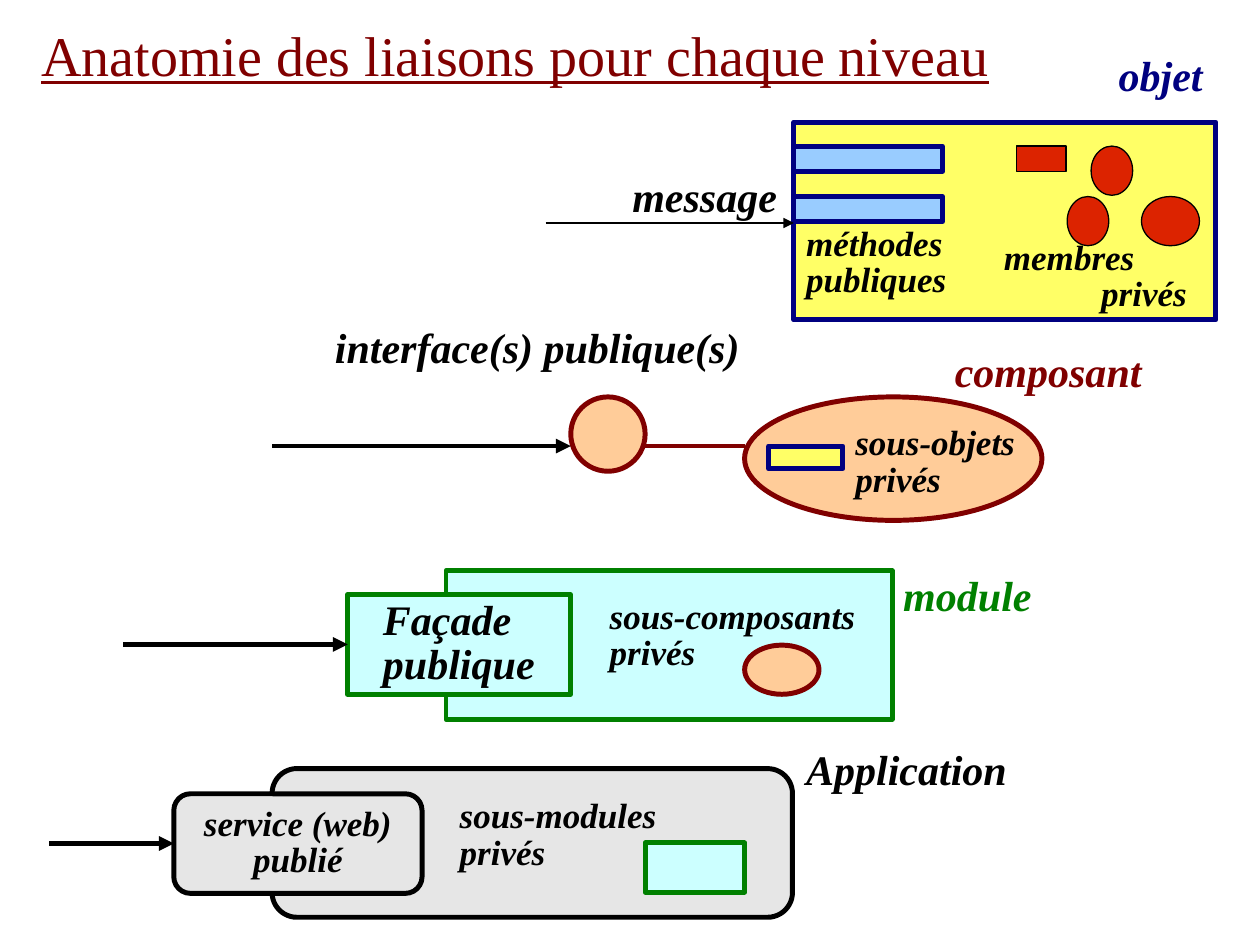
"""Build the slide on the anatomy of links at each software level."""
import pptx
import pptx.dml.color
import pptx.enum.shapes
import pptx.enum.text
import pptx.oxml
import pptx.oxml.ns
import pptx.util

Inches = pptx.util.Inches
Pt = pptx.util.Pt
RGBColor = pptx.dml.color.RGBColor
MSO_SHAPE = pptx.enum.shapes.MSO_SHAPE
PP_ALIGN = pptx.enum.text.PP_ALIGN
MSO_ANCHOR = pptx.enum.text.MSO_ANCHOR

BLACK = RGBColor(0x00, 0x00, 0x00)
MAROON = RGBColor(0x80, 0x00, 0x00)
NAVY = RGBColor(0x00, 0x00, 0x80)
GREEN = RGBColor(0x00, 0x80, 0x00)
YELLOW = RGBColor(0xFF, 0xFF, 0x66)
PEACH = RGBColor(0xFF, 0xCC, 0x99)
CYAN = RGBColor(0xCC, 0xFF, 0xFF)
GREY = RGBColor(0xE6, 0xE6, 0xE6)
BLUE = RGBColor(0x99, 0xCC, 0xFF)
RED = RGBColor(0xDC, 0x23, 0x00)

RECT, ROUND, OVAL = MSO_SHAPE.RECTANGLE, MSO_SHAPE.ROUNDED_RECTANGLE, MSO_SHAPE.OVAL
LEFT, CENTER, RIGHT = PP_ALIGN.LEFT, PP_ALIGN.CENTER, PP_ALIGN.RIGHT
THICK, THIN = 2.83, 0.75


def write(sp, lines, frame, font, aligns):
    tf = sp.text_frame
    for name, value in frame.items():
        setattr(tf, name, value)
    for i, (line, align) in enumerate(zip(lines, aligns)):
        p = tf.paragraphs[0] if i == 0 else tf.add_paragraph()
        p.alignment = align
        p.line_spacing = 0.86
        r = p.add_run()
        r.text = line
        r.font.color.rgb = font["color"]
        for name, value in font["format"].items():
            setattr(r.font, name, value)


def style(size, color=BLACK, **more):
    return {"color": color, "format": {"name": "Times New Roman", "size": Pt(size), **more}}


prs = pptx.Presentation()
prs.slide_width, prs.slide_height = Inches(10), Inches(7.5)
s = prs.slides.add_slide(prs.slide_layouts[6])

shapes = {}
for key, kind, box, fill, line, weight in [
    ("object", RECT, (6.3, 0.97, 3.35, 1.57), YELLOW, NAVY, THICK),
    ("component", OVAL, (5.91, 3.15, 2.36, 0.98), PEACH, MAROON, THICK),
    ("module", RECT, (3.54, 4.53, 3.54, 1.18), CYAN, GREEN, THICK),
    ("application", ROUND, (2.16, 6.1, 4.13, 1.18), GREY, BLACK, THICK),
    ("method 1", RECT, (6.3, 1.16, 1.18, 0.2), BLUE, NAVY, THICK),
    ("method 2", RECT, (6.3, 1.56, 1.18, 0.2), BLUE, NAVY, THICK),
    ("member 1", OVAL, (8.47, 1.56, 0.33, 0.39), RED, BLACK, THIN),
    ("member 2", OVAL, (9.06, 1.56, 0.46, 0.39), RED, BLACK, THIN),
    ("member 3", OVAL, (8.66, 1.16, 0.33, 0.39), RED, BLACK, THIN),
    ("member 4", RECT, (8.07, 1.16, 0.39, 0.2), RED, BLACK, THIN),
    ("interface", OVAL, (4.53, 3.15, 0.59, 0.59), PEACH, MAROON, THICK),
    ("sub-object", RECT, (6.1, 3.54, 0.59, 0.18), YELLOW, NAVY, THICK),
    ("facade", RECT, (2.76, 4.72, 1.77, 0.79), CYAN, GREEN, THICK),
    ("sub-component", OVAL, (5.91, 5.12, 0.59, 0.39), PEACH, MAROON, THICK),
    ("sub-module", RECT, (5.12, 6.69, 0.79, 0.39), CYAN, GREEN, THICK),
    ("service", ROUND, (1.38, 6.3, 1.97, 0.79), GREY, BLACK, THICK),
]:
    sp = s.shapes.add_shape(kind, *map(Inches, box))
    sp.shadow.inherit = False
    sp.fill.solid()
    sp.fill.fore_color.rgb = fill
    sp.line.color.rgb = line
    sp.line.width = Pt(weight)
    shapes[key] = sp

for x1, x2, y, color, weight, arrow, target in [
    (4.33, 6.3, 1.77, BLACK, THIN, True, None),
    (5.12, 5.91, 3.54, MAROON, THICK, False, None),
    (2.16, 4.53, 3.54, BLACK, THICK, True, None),
    (0.98, 2.76, 5.12, BLACK, THICK, True, "facade"),
    (0.39, 1.38, 6.69, BLACK, THICK, True, "service"),
]:
    c = s.shapes.add_connector(
        pptx.enum.shapes.MSO_CONNECTOR.STRAIGHT, *map(Inches, (x1, y, x2, y)))
    c.line.color.rgb = color
    c.line.width = Pt(weight)
    if target:
        c.end_connect(shapes[target], 1)
        c.begin_y = c.end_y
    if arrow:
        ln = c.line._get_or_add_ln()
        ln.append(pptx.oxml.parse_xml(
            f'<a:tailEnd {pptx.oxml.ns.nsdecls("a")} type="triangle"/>'))
    c._element.spPr.append(pptx.oxml.parse_xml(
        f'<a:effectLst {pptx.oxml.ns.nsdecls("a")}/>'))

bold = {"bold": True, "italic": True}
text_frame = {
    "word_wrap": True, "vertical_anchor": MSO_ANCHOR.TOP,
    "margin_left": Inches(0.1), "margin_right": Inches(0.05),
    "margin_top": Inches(0.05), "margin_bottom": Inches(0.05),
}
for lines, box, font, aligns in [
    (["Anatomie des liaisons pour chaque niveau"], (0.23, 0.19, 7.74, 0.59),
     style(32, MAROON, underline=True), [LEFT]),
    (["objet"], (8.78, 0.4, 0.87, 0.47), style(24, NAVY, **bold), [LEFT]),
    (["composant"], (7.48, 2.75, 1.68, 0.47), style(24, MAROON, **bold), [LEFT]),
    (["module"], (7.07, 4.53, 1.22, 0.47), style(24, GREEN, **bold), [LEFT]),
    (["Application"], (6.3, 5.91, 1.79, 0.47), style(24, **bold), [LEFT]),
    (["message"], (4.92, 1.36, 1.35, 0.47), style(24, **bold), [LEFT]),
    (["interface(s) publique(s)"], (2.56, 2.56, 3.81, 0.67), style(24, **bold), [LEFT]),
    (["méthodes", "publiques"], (6.3, 1.76, 1.31, 0.69), style(20, **bold), [LEFT, LEFT]),
    (["membres", "privés"], (7.87, 1.87, 1.6, 0.69), style(20, **bold), [LEFT, RIGHT]),
    (["sous-objets", "privés"], (6.69, 3.34, 1.47, 0.69), style(20, **bold), [LEFT, LEFT]),
    (["sous-composants", "privés"], (4.74, 4.72, 2.15, 0.69), style(20, **bold), [LEFT, LEFT]),
    (["sous-modules", "privés"], (3.55, 6.3, 1.76, 0.69), style(20, **bold), [LEFT, LEFT]),
]:
    write(s.shapes.add_textbox(*map(Inches, box)), lines, text_frame, font, aligns)

shape_frame = {
    "word_wrap": True, "vertical_anchor": MSO_ANCHOR.MIDDLE,
    "margin_left": Inches(0.12), "margin_right": Inches(0.12),
    "margin_top": Inches(0.07), "margin_bottom": Inches(0.07),
}
write(shapes["facade"], ["Façade", "publique"],
      {**shape_frame, "margin_left": Inches(0.28)}, style(24, **bold), [LEFT, LEFT])
write(shapes["service"], ["service (web)", "publié"],
      shape_frame, style(20, **bold), [CENTER, CENTER])

prs.save("out.pptx")
